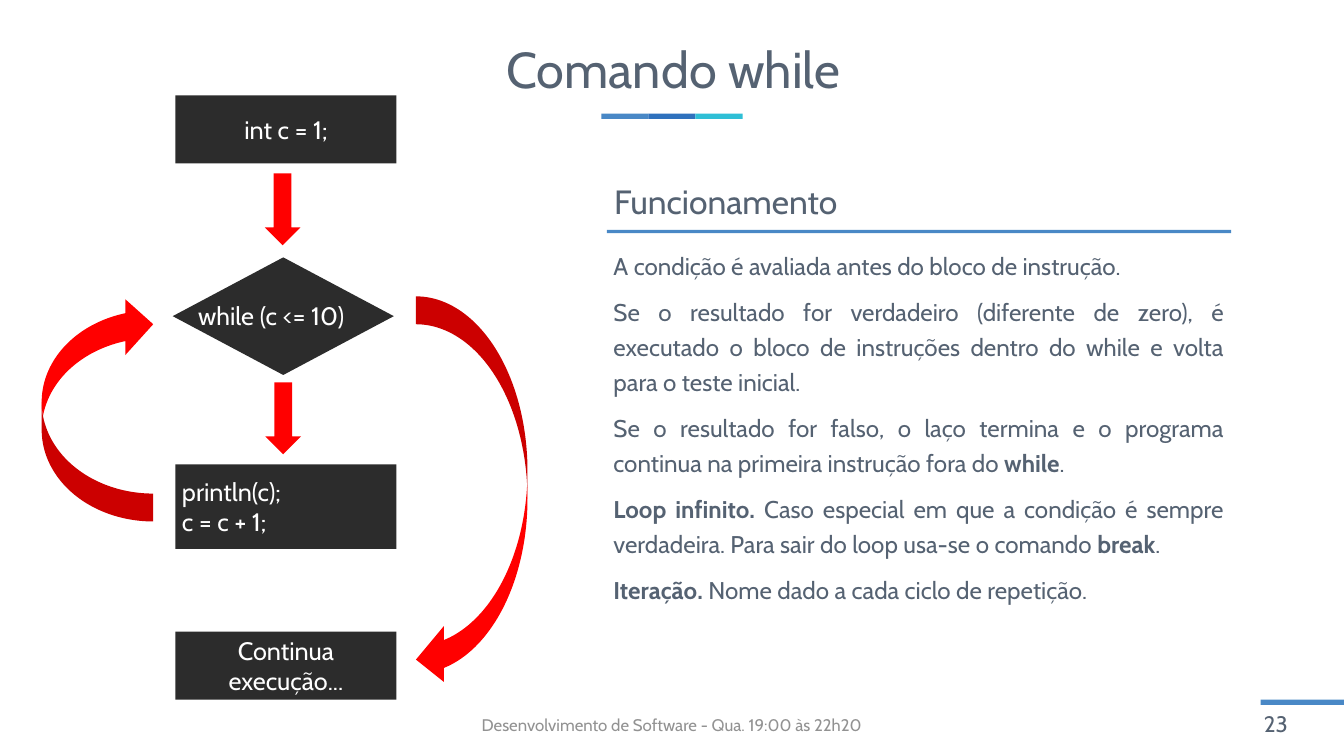
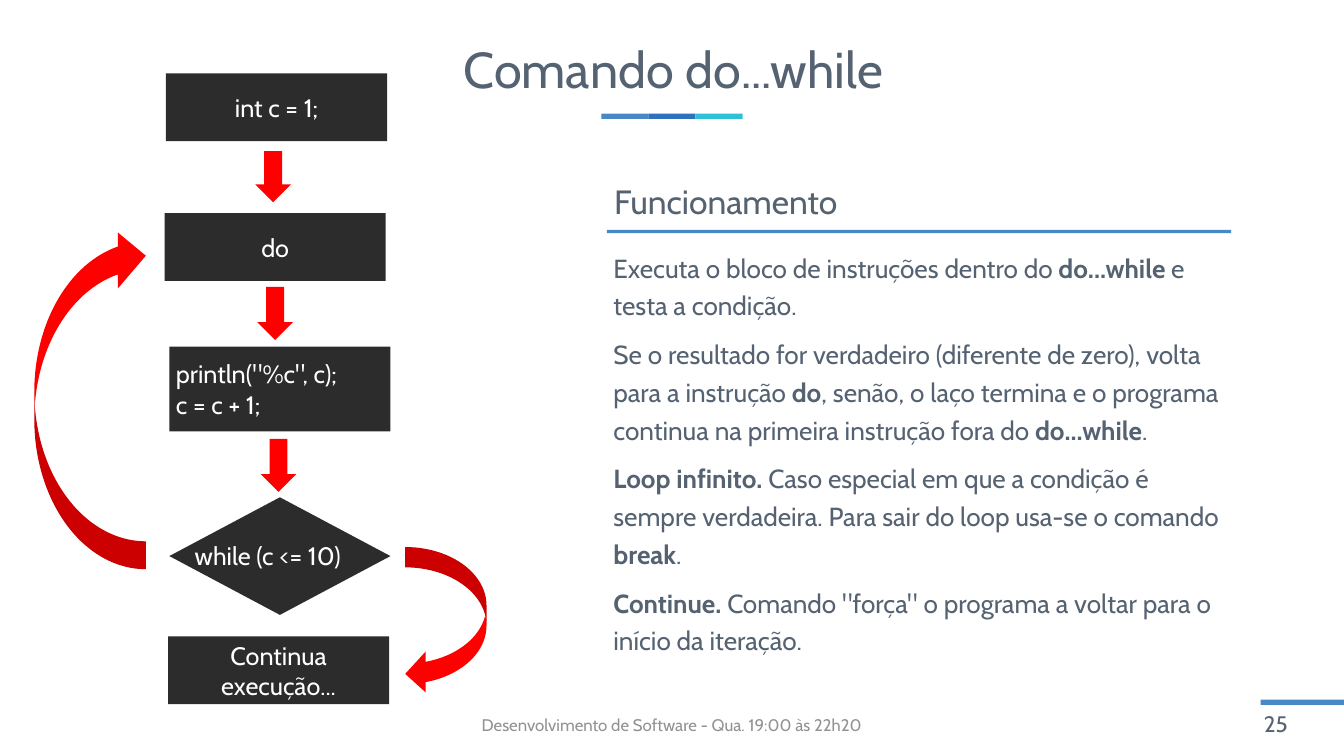
from dataclasses import dataclass
from typing import Optional

from pptx import Presentation
from pptx.dml.color import RGBColor
from pptx.enum.shapes import MSO_SHAPE
from pptx.enum.text import MSO_ANCHOR, PP_ALIGN
from pptx.util import Inches, Pt

RECT = MSO_SHAPE.RECTANGLE
DIAMOND = MSO_SHAPE.DIAMOND
DOWN = MSO_SHAPE.DOWN_ARROW
CURVE = MSO_SHAPE.CURVED_LEFT_ARROW
LEFT, CENTER, JUSTIFY = PP_ALIGN.LEFT, PP_ALIGN.CENTER, PP_ALIGN.JUSTIFY
TOP, MIDDLE = MSO_ANCHOR.TOP, MSO_ANCHOR.MIDDLE

WIDTH, HEIGHT = Inches(20), Inches(11.25)
COLS, ROWS = 20, 11.25


@dataclass(frozen=True)
class Theme:
    font: str = "Cabin"
    ink: str = "556272"
    faint: str = "929292"
    white: str = "FFFFFF"
    dark: str = "2C2C2C"
    red: str = "FF0000"
    blue: str = "4988C6"
    deep: str = "2F71BD"
    aqua: str = "2FBFD6"
    title: float = 54
    head: float = 36
    code: float = 27
    page: float = 24
    foot: float = 18


THEME = Theme()


@dataclass(frozen=True)
class Area:
    col: float
    row: float
    wide: float
    high: float

    def place(self) -> tuple[int, int, int, int]:
        across, down = WIDTH / COLS, HEIGHT / ROWS
        return (round(self.col * across), round(self.row * down),
                round(self.wide * across), round(self.high * down))


@dataclass(frozen=True)
class Style:
    size: float
    color: str = THEME.ink
    align: PP_ALIGN = LEFT
    anchor: MSO_ANCHOR = MIDDLE
    lines: Optional[float] = None
    before: float = 0


@dataclass(frozen=True)
class Step:
    col: float
    row: float
    text: str
    high: float = 1.01
    align: PP_ALIGN = CENTER


@dataclass(frozen=True)
class Test:
    col: float
    row: float
    text: str


@dataclass(frozen=True)
class Arrow:
    area: Area
    kind: MSO_SHAPE = DOWN
    turn: float = 0


@dataclass(frozen=True)
class Lesson:
    title: str
    page: int
    size: float
    align: PP_ALIGN
    notes: tuple[str, ...]
    steps: tuple[Step, ...]
    test: Test
    arrows: tuple[Arrow, ...]


STEP_WIDE, TEST_HIGH = 3.29, 1.75
SHAFT = 0.53
BAR, BAR_HIGH = 0.7, 0.08
FOOT = "Desenvolvimento de Software - Qua. 19:00 às 22h20"
HEAD = "Funcionamento"
TEST = "while (c <= 10)"


def write(frame, text: str, style: Style) -> None:
    frame.word_wrap = True
    frame.vertical_anchor = style.anchor
    frame.text = text.replace("*", "")
    for para, line in zip(frame.paragraphs, text.split("\n")):
        para.alignment = style.align
        para.line_spacing = style.lines
        para.space_before = Pt(style.before)
        parts = line.split("*")
        if len(parts) > 1:
            para.text = ""
            for turn, part in enumerate(parts):
                if part:
                    run = para.add_run()
                    run.text = part
                    run.font.bold = turn % 2 == 1
        for run in para.runs:
            run.font.name = THEME.font
            run.font.size = Pt(style.size)
            run.font.color.rgb = RGBColor.from_string(style.color)


def draw_text(slide, area: Area, text: str, style: Style) -> None:
    write(slide.shapes.add_textbox(*area.place()).text_frame, text, style)


def draw_shape(slide, kind: MSO_SHAPE, area: Area, color: str):
    shape = slide.shapes.add_shape(kind, *area.place())
    shape.shadow.inherit = False
    shape.fill.solid()
    shape.fill.fore_color.rgb = RGBColor.from_string(color)
    shape.line.fill.background()
    return shape


def draw_frame(slide, lesson: Lesson) -> None:
    for place, color in enumerate((THEME.blue, THEME.deep, THEME.aqua)):
        draw_shape(slide, RECT, Area(8.95 + place * BAR, 1.69, BAR, BAR_HIGH), color)
    draw_shape(slide, RECT, Area(18.76, 10.41, 1.24, BAR_HIGH), THEME.blue)
    draw_shape(slide, RECT, Area(9.03, 3.42, 9.29, 0.05), THEME.blue)
    draw_text(slide, Area(0.54, 0.38, 18.96, 1.4), lesson.title,
              Style(THEME.title, align=CENTER, lines=0.9))
    draw_text(slide, Area(6.62, 10.48, 6.75, 0.6), FOOT,
              Style(THEME.foot, THEME.faint, CENTER))
    draw_text(slide, Area(18.71, 10.5, 1.29, 0.53), str(lesson.page), Style(THEME.page))
    draw_text(slide, Area(9.04, 2.58, 9.28, 0.81), HEAD, Style(THEME.head))


def draw_notes(slide, lesson: Lesson) -> None:
    draw_text(slide, Area(9.03, 3.61, 9.28, 5.99), "\n".join(lesson.notes),
              Style(lesson.size, align=lesson.align, anchor=TOP, lines=1.2, before=12))


def draw_flow(slide, lesson: Lesson) -> None:
    for step in lesson.steps:
        area = Area(step.col, step.row, STEP_WIDE, step.high)
        box = draw_shape(slide, RECT, area, THEME.dark)
        write(box.text_frame, step.text, Style(THEME.code, THEME.white, step.align))
    test = lesson.test
    draw_shape(slide, DIAMOND, Area(test.col, test.row, STEP_WIDE, TEST_HIGH), THEME.dark)
    draw_text(slide, Area(test.col + 0.28, test.row + 0.59, 3, 0.56), test.text,
              Style(THEME.code, THEME.white, anchor=TOP))
    for arrow in lesson.arrows:
        draw_shape(slide, arrow.kind, arrow.area, THEME.red).rotation = arrow.turn


LESSONS = (
    Lesson(
        "Comando while", 23, 25.9, JUSTIFY,
        (
            "A condição é avaliada antes do bloco de instrução.",
            "Se o resultado for verdadeiro (diferente de zero), é executado o bloco "
            "de instruções dentro do while e volta para o teste inicial.",
            "Se o resultado for falso, o laço termina e o programa continua na "
            "primeira instrução fora do *while*.",
            "*Loop infinito.* Caso especial em que a condição é sempre verdadeira. "
            "Para sair do loop usa-se o comando *break*.",
            "*Iteração.* Nome dado a cada ciclo de repetição.",
        ),
        (
            Step(2.61, 1.42, "int c = 1;"),
            Step(2.61, 6.91, "println(c);\nc = c + 1;", 1.26, LEFT),
            Step(2.61, 9.4, "Continua execução..."),
        ),
        Test(2.57, 3.83, TEST),
        (
            Arrow(Area(3.94, 2.58, SHAFT, 1.07)),
            Arrow(Area(3.95, 5.69, SHAFT, 1.07)),
            Arrow(Area(0.62, 4.41, 1.66, 3.35), CURVE, 180),
            Arrow(Area(6.19, 4.41, 1.66, 5.82), CURVE),
        ),
    ),
    Lesson(
        "Comando do...while", 25, 28, LEFT,
        (
            "Executa o bloco de instruções dentro do *do...while* e testa a condição.",
            "Se o resultado for verdadeiro (diferente de zero), volta para a instrução "
            "*do*, senão, o laço termina e o programa continua na primeira instrução "
            "fora do *do...while*.",
            "*Loop infinito.* Caso especial em que a condição é sempre verdadeira. "
            "Para sair do loop usa-se o comando *break*.",
            "*Continue.* Comando \"força\" o programa a voltar para o início da iteração.",
        ),
        (
            Step(2.47, 1.09, "int c = 1;"),
            Step(2.45, 3.17, "do"),
            Step(2.52, 5.16, "println(\"%c\", c);\nc = c + 1;", 1.26, LEFT),
            Step(2.5, 9.47, "Continua\nexecução..."),
        ),
        Test(2.52, 7.4, TEST),
        (
            Arrow(Area(3.8, 2.25, SHAFT, 0.76)),
            Arrow(Area(3.83, 4.27, SHAFT, 0.79)),
            Arrow(Area(3.88, 6.53, SHAFT, 0.79)),
            Arrow(Area(0.51, 3.39, 1.66, 5.08), CURVE, 180),
            Arrow(Area(6.03, 8.14, 1.21, 2.19), CURVE),
        ),
    ),
)


def main() -> None:
    deck = Presentation()
    deck.slide_width, deck.slide_height = WIDTH, HEIGHT
    blank = deck.slide_layouts[6]
    for lesson in LESSONS:
        slide = deck.slides.add_slide(blank)
        draw_frame(slide, lesson)
        draw_notes(slide, lesson)
        draw_flow(slide, lesson)
    deck.save("out.pptx")


if __name__ == "__main__":
    main()
